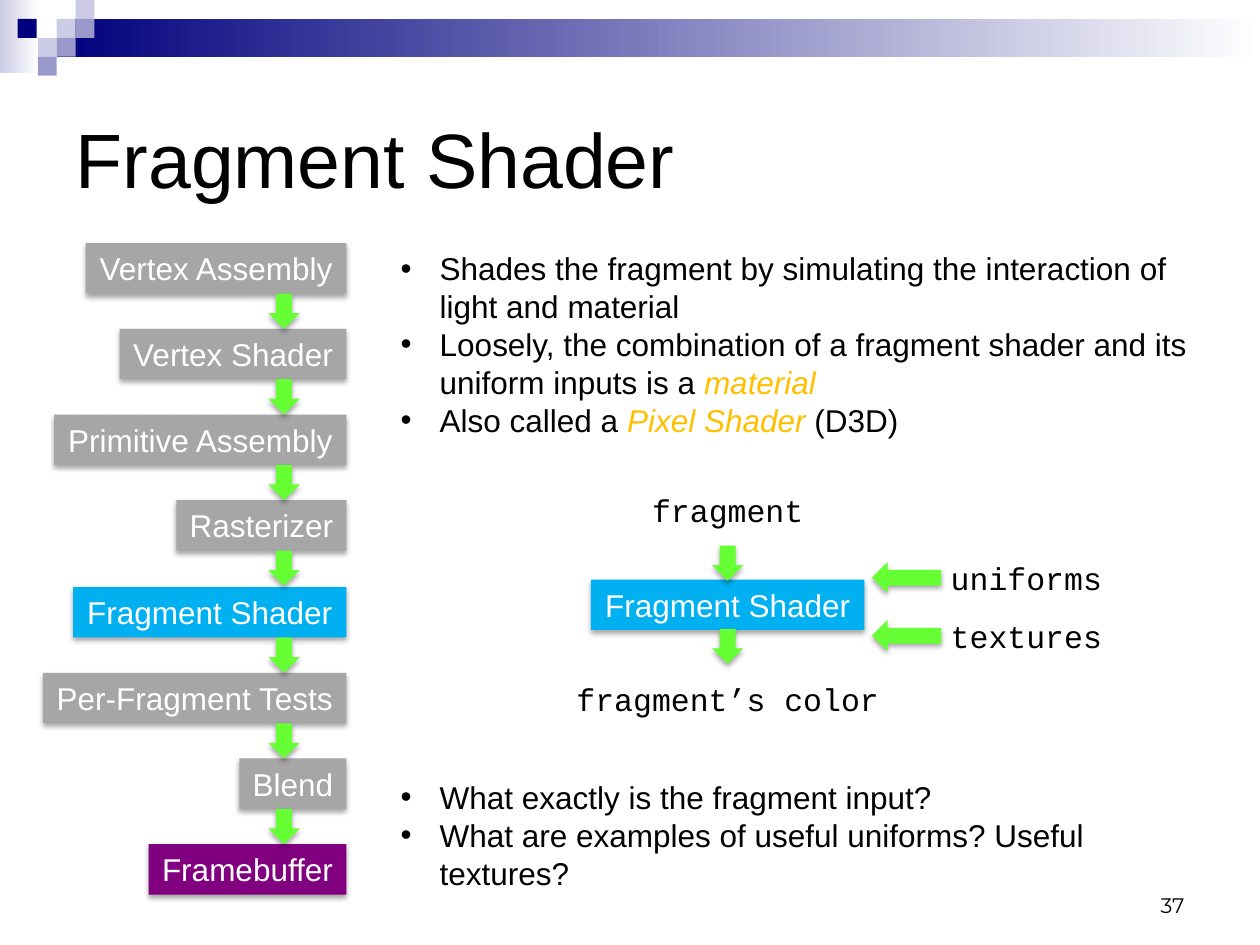
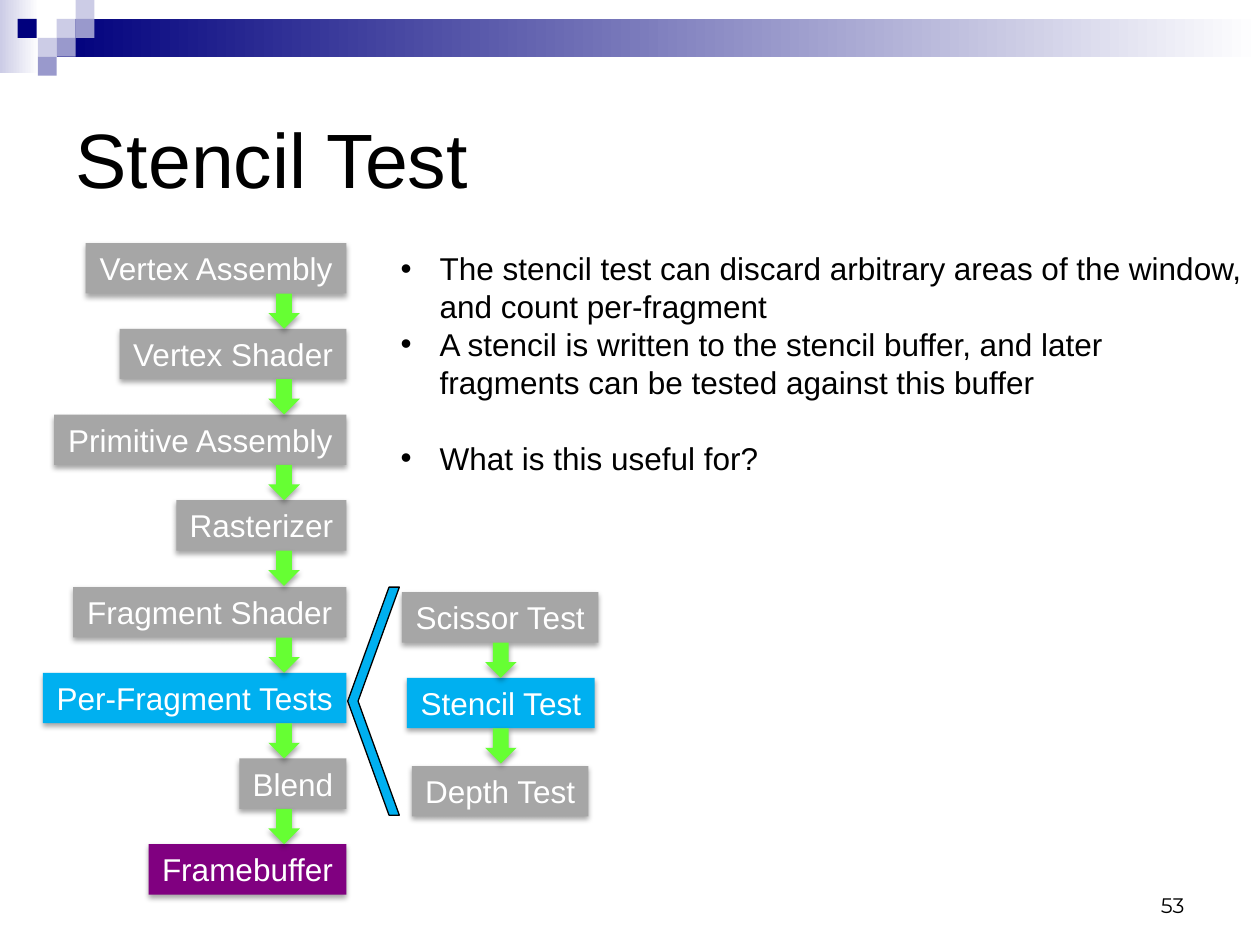
from lxml.etree import SubElement
from pptx import Presentation
from pptx.dml.color import RGBColor
from pptx.enum.shapes import MSO_SHAPE as Shape
from pptx.enum.text import MSO_ANCHOR as Anchor, MSO_AUTO_SIZE as AutoSize, PP_ALIGN as Align
from pptx.oxml.ns import qn
from pptx.util import Emu, Pt

PX = 9144  # 100 px to the inch

COLORS = {
    "navy": "00007D", "lavender": "CCCCE6", "periwinkle": "9999CC",
    "white": "FFFFFF", "black": "000000", "stage": "A6A6A6",
    "current": "00B0F0", "target": "800080", "arrow": "66FF33", "term": "FFC000",
}
TITLE = {"name": "Arial", "size": Pt(44), "color": "black"}
BODY = {"name": "Arial", "size": Pt(18), "color": "black"}
TERM = {**BODY, "italic": True, "color": "term"}
LABEL = {**BODY, "color": "white"}
CODE = {**BODY, "name": "Courier New"}
NUMBER = {"name": "Montserrat", "size": Pt(12), "color": "black"}

STAGES = [("Vertex Assembly", 207), ("Vertex Shader", 180), ("Primitive Assembly", 232),
          ("Rasterizer", 135), ("Fragment Shader", 217), ("Per-Fragment Tests", 241),
          ("Blend", 85), ("Framebuffer", 157)]
STAGE_RIGHT, STAGE_TOP, STAGE_BOTTOM = 275, 193, 670
BOX_HEIGHT = 40
ARROW_WIDTH, ARROW_LENGTH = 25, 28
SQUARE = 15
SQUARES = [(45, 15, "lavender"), (60, 0, "lavender"), (60, 15, "periwinkle"),
           (30, 30, "lavender"), (14, 15, "navy"), (45, 30, "periwinkle"),
           (30, 45, "periwinkle")]


def px(*lengths):
    return [Emu(length * PX) for length in lengths]


def rgb(color):
    return RGBColor.from_string(COLORS[color])


def set_font(font, style):
    for key, value in style.items():
        if key == "color":
            font.color.rgb = rgb(value)
        else:
            setattr(font, key, value)


def add_span(para, text, style):
    span = para.add_run()
    span.text = text
    set_font(span.font, style)


def set_frame(frame, **values):
    for key, value in values.items():
        setattr(frame, key, value)


def add_solid(shapes, kind, at, color):
    shape = shapes.add_shape(kind, *px(*at))
    shape.shadow.inherit = False
    shape.fill.solid()
    shape.fill.fore_color.rgb = rgb(color)
    shape.line.fill.background()
    return shape


def add_fade(shapes, at, color):
    """Add a rectangle that fades from a colour to white, left to right."""
    shape = add_solid(shapes, Shape.RECTANGLE, at, color)
    shape.fill.gradient()
    shape.fill.gradient_angle = 0
    for stop, position, tone in zip(shape.fill.gradient_stops, (0, 1), (color, "white")):
        stop.position = position
        stop.color.rgb = rgb(tone)


def add_shadow(shape):
    effects = shape.element.spPr.find(qn("a:effectLst"))
    shadow = SubElement(effects, qn("a:outerShdw"), blurRad=str(Pt(3.1)), dist=str(Pt(1.8)),
                        dir="5400000", rotWithShape="0")
    tone = SubElement(shadow, qn("a:srgbClr"), val=COLORS["black"])
    SubElement(tone, qn("a:alpha"), val="35000")


def add_band(page, layout):
    """Draw the header band and hand it to the layout, behind its placeholders."""
    band = page.shapes.add_group_shape()
    add_fade(band.shapes, (0, 0, 31, 58), "lavender")
    add_fade(band.shapes, (45, 15, 955, 30), "navy")
    for left, top, color in SQUARES:
        add_solid(band.shapes, Shape.RECTANGLE, (left, top, SQUARE, SQUARE), color)
    for number, properties in enumerate(band.element.iter(qn("p:cNvPr")), 100):
        properties.set("id", str(number))
    layout.element.cSld.spTree.insert(2, band.element)


def add_box(page, text, left, top, width, color="stage"):
    box = add_solid(page.shapes, Shape.RECTANGLE, (left, top, width, BOX_HEIGHT), color)
    add_shadow(box)
    set_frame(box.text_frame, word_wrap=False, vertical_anchor=Anchor.MIDDLE)
    para = box.text_frame.paragraphs[0]
    para.alignment = Align.CENTER
    add_span(para, text, LABEL)


def add_arrow(page, left, top, length=ARROW_LENGTH, rotation=0):
    arrow = add_solid(page.shapes, Shape.DOWN_ARROW, (left, top, ARROW_WIDTH, length), "arrow")
    arrow.rotation = rotation
    add_shadow(arrow)


def add_text(page, text, at, style, align, anchor):
    box = page.shapes.add_textbox(*px(*at))
    set_frame(box.text_frame, word_wrap=True, vertical_anchor=anchor)
    para = box.text_frame.paragraphs[0]
    para.alignment = align
    add_span(para, text, style)


def add_code(page, text, left, top, width):
    add_text(page, text, (left, top, width, BOX_HEIGHT), CODE, Align.CENTER, Anchor.MIDDLE)


def add_pipeline(page, current):
    step = (STAGE_BOTTOM - STAGE_TOP) / (len(STAGES) - 1)
    tops = [round(STAGE_TOP + step * index) for index in range(len(STAGES))]
    colors = {current: "current", "Framebuffer": "target"}
    for (text, width), top in zip(STAGES, tops):
        add_box(page, text, STAGE_RIGHT - width, top, width, colors.get(text, "stage"))
    for top in tops[:-1]:
        add_arrow(page, 213, top + BOX_HEIGHT)


def fill_list(page, at, items):
    """Fill the body with bullets, each a gap in points and its (text, style) spans."""
    body = page.placeholders[1]
    body.left, body.top, body.width, body.height = px(*at)
    frame = body.text_frame
    set_frame(frame, word_wrap=True, auto_size=AutoSize.NONE, vertical_anchor=Anchor.TOP)
    for index, (gap, spans) in enumerate(items):
        para = frame.add_paragraph() if index else frame.paragraphs[0]
        para.space_before, para.line_spacing = Pt(gap), Pt(21.6)
        properties = para._p.get_or_add_pPr()
        indent = px(31)[0]
        properties.set("marL", str(indent))
        properties.set("indent", str(-indent))
        SubElement(properties, qn("a:buFont"), typeface="Arial")
        SubElement(properties, qn("a:buChar"), char="•")
        for text, style in spans:
            add_span(para, text, style)


def start_page(deck, layout, title, number, current):
    page = deck.slides.add_slide(layout)
    heading = page.shapes.title
    heading.left, heading.top, heading.width, heading.height = px(50, 50, 900, 150)
    set_frame(heading.text_frame, vertical_anchor=Anchor.MIDDLE, auto_size=AutoSize.NONE)
    para = heading.text_frame.paragraphs[0]
    para.alignment = Align.LEFT
    add_span(para, title, TITLE)
    add_pipeline(page, current)
    add_text(page, str(number), (717, 683, 233, 50), NUMBER, Align.RIGHT, Anchor.BOTTOM)
    return page


def add_shader_diagram(page):
    add_box(page, "Fragment Shader", 469, 460, 217, "current")
    for top in (433, 499):
        add_arrow(page, 565, top)
    add_code(page, "fragment", 507, 385, 141)
    add_code(page, "fragment’s color", 447, 535, 261)
    for text, top in (("uniforms", 439), ("textures", 485)):
        add_code(page, text, 744, top, 141)
        add_arrow(page, 707, top - 8, length=55, rotation=90)


def add_test_detail(page):
    add_box(page, "Scissor Test", 319, 470, 156)
    add_box(page, "Stencil Test", 323, 538, 149, "current")
    add_box(page, "Depth Test", 327, 608, 140)
    for top in (510, 578):
        add_arrow(page, 385, top)
    bracket = add_solid(page.shapes, Shape.CHEVRON, (276, 466, 41, 181), "current")
    bracket.adjustments[0] = 0.8
    bracket.line.color.rgb = rgb("black")
    bracket.line.width = Pt(0.75)
    bracket.element.spPr.find(qn("a:xfrm")).set("flipH", "1")


def main():
    deck = Presentation()
    deck.slide_width, deck.slide_height = px(1000, 750)
    layout = deck.slide_layouts[1]

    page = start_page(deck, layout, "Fragment Shader", 37, "Fragment Shader")
    add_band(page, layout)
    fill_list(page, (308, 193, 650, 540), [
        (0, [("Shades the fragment by simulating the interaction of light and material", BODY)]),
        (0, [("Loosely, the combination of a fragment shader and its uniform inputs is a ", BODY),
             ("material", TERM)]),
        (0, [("Also called a ", BODY), ("Pixel Shader", TERM), (" (D3D)", BODY)]),
        (194, [("What exactly is the fragment input?", BODY)]),
        (0, [("What are examples of useful uniforms? Useful textures?", BODY)]),
    ])
    add_shader_diagram(page)

    page = start_page(deck, layout, "Stencil Test", 53, "Per-Fragment Tests")
    fill_list(page, (308, 193, 692, 343), [
        (0, [("The stencil test can discard arbitrary areas of the window, "
              "and count per-fragment", BODY)]),
        (0, [("A stencil is written to the stencil buffer, and later fragments "
              "can be tested against this buffer", BODY)]),
        (22, [("What is this useful for?", BODY)]),
    ])
    add_test_detail(page)

    deck.save("out.pptx")


if __name__ == "__main__":
    main()
